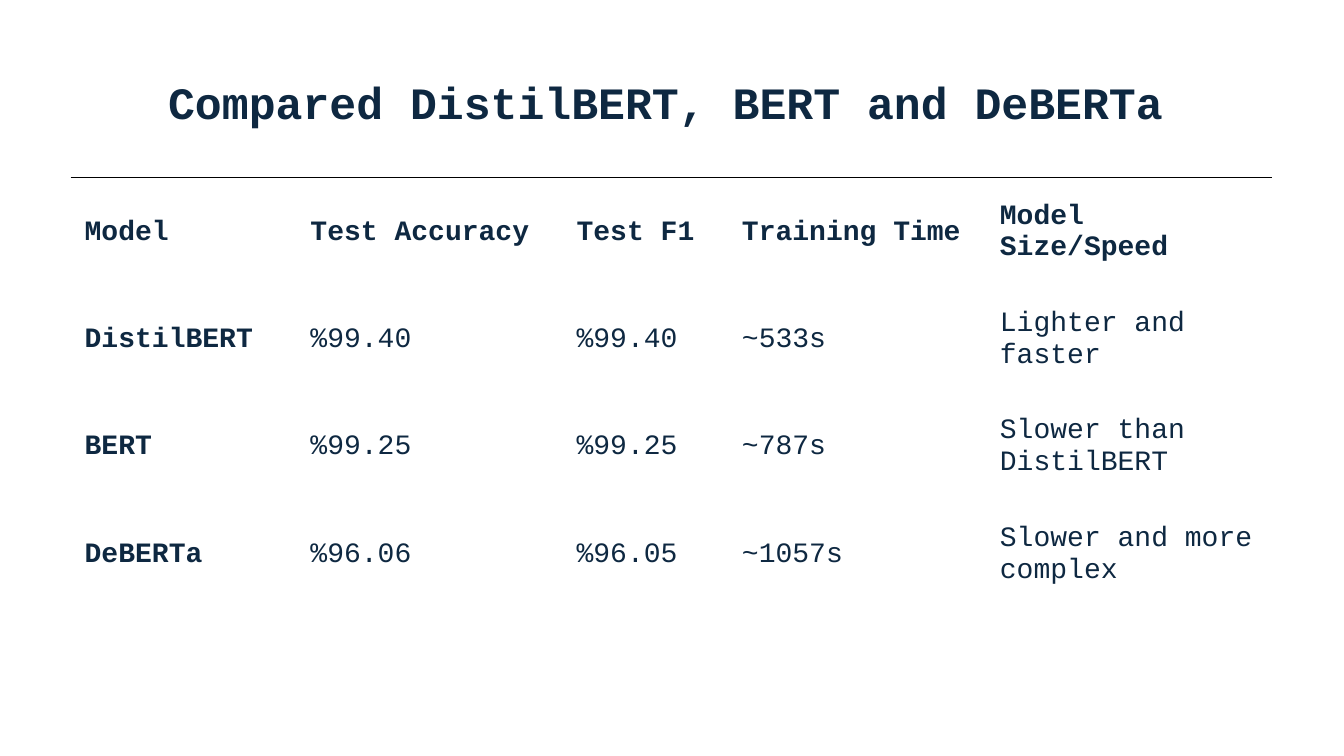
from dataclasses import dataclass

from lxml import etree
from pptx import Presentation
from pptx import util as u
from pptx.dml import color
from pptx.enum import text
from pptx.oxml import ns


@dataclass(frozen=True)
class Theme:
    font: str = "Courier New"
    ink: str = "0E2841"
    rule: str = "000000"
    title_size: int = 32
    table_size: int = 20
    rule_width: int = 1


THEME = Theme()
NO_STYLE = "{2D5ABB26-0587-4C30-8999-92F81FD0307C}"
COLUMN_WIDTHS = (161.3, 190.1, 118.1, 184.3, 204.5)
ROW_HEIGHTS = (86.4, 57, 86.4, 57)
ROWS = (
    ("Model", "Test Accuracy", "Test F1", "Training Time", "Model Size/Speed"),
    ("DistilBERT", "%99.40", "%99.40", "~533s", "Lighter and faster"),
    ("BERT", "%99.25", "%99.25", "~787s", "Slower than DistilBERT"),
    ("DeBERTa", "%96.06", "%96.05", "~1057s", "Slower and more complex"),
)


def add_run(paragraph, words, size, bold):
    run = paragraph.add_run()
    run.text = words
    run.font.name = THEME.font
    run.font.size = u.Pt(size)
    run.font.bold = bold
    run.font.color.rgb = color.RGBColor.from_string(THEME.ink)


def add_title(slide, words):
    shape = slide.shapes.add_textbox(u.Pt(113), u.Pt(49.7), u.Pt(733.7), u.Pt(46))
    frame = shape.text_frame
    frame.word_wrap = False
    frame.auto_size = text.MSO_AUTO_SIZE.SHAPE_TO_FIT_TEXT
    frame.vertical_anchor = text.MSO_ANCHOR.MIDDLE
    paragraph = frame.paragraphs[0]
    paragraph.space_after = u.Pt(6)
    add_run(paragraph, words, THEME.title_size, True)


def add_top_rule(cell):
    line = etree.Element(ns.qn("a:lnT"), w=str(u.Pt(THEME.rule_width)))
    fill = etree.SubElement(line, ns.qn("a:solidFill"))
    etree.SubElement(fill, ns.qn("a:srgbClr"), val=THEME.rule)
    cell._tc.get_or_add_tcPr().insert(0, line)


def fill_cell(cell, words, bold):
    cell.fill.background()
    cell.vertical_anchor = text.MSO_ANCHOR.MIDDLE
    cell.margin_left, cell.margin_right = u.Pt(10), u.Pt(7.2)
    cell.margin_top, cell.margin_bottom = u.Pt(7.2), u.Pt(14.4)
    add_run(cell.text_frame.paragraphs[0], words, THEME.table_size, bold)


def add_comparison(slide):
    frame = slide.shapes.add_table(
        len(ROWS), len(COLUMN_WIDTHS), u.Pt(50.5), u.Pt(126.5),
        u.Pt(sum(COLUMN_WIDTHS)), u.Pt(sum(ROW_HEIGHTS)))
    table = frame.table
    table.first_row = table.horz_banding = False
    table._tbl.tblPr.find(ns.qn("a:tableStyleId")).text = NO_STYLE
    for column, width in zip(table.columns, COLUMN_WIDTHS):
        column.width = u.Pt(width)
    for row, height in zip(table.rows, ROW_HEIGHTS):
        row.height = u.Pt(height)
    for row_index, entries in enumerate(ROWS):
        for column_index, words in enumerate(entries):
            cell = table.cell(row_index, column_index)
            fill_cell(cell, words, row_index == 0 or column_index == 0)
            if row_index == 0:
                add_top_rule(cell)


def main():
    presentation = Presentation()
    presentation.slide_width = u.Pt(960)
    presentation.slide_height = u.Pt(540)
    slide = presentation.slides.add_slide(presentation.slide_layouts[6])
    add_comparison(slide)
    add_title(slide, "Compared DistilBERT, BERT and DeBERTa")
    presentation.save("out.pptx")


if __name__ == "__main__":
    main()
